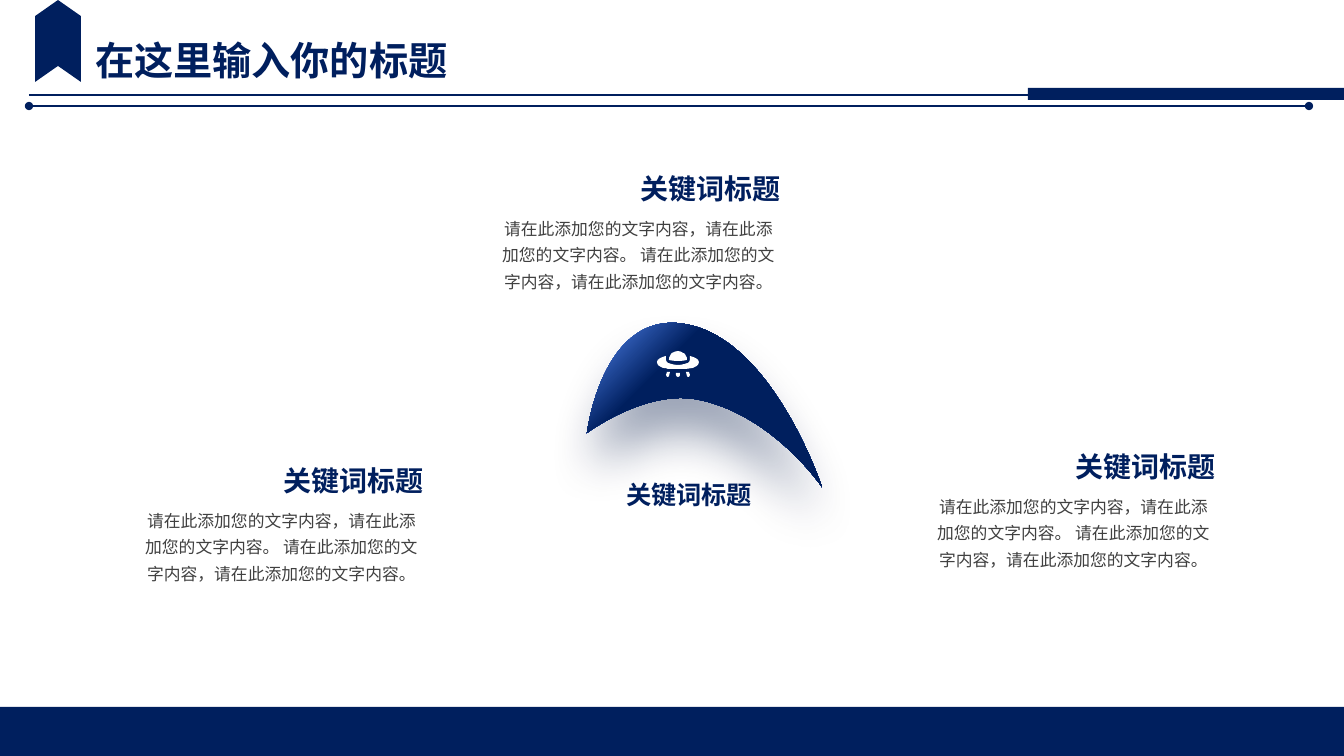
import pptx
import pptx.util
import pptx.dml.color
import pptx.enum.shapes
import pptx.enum.text
import pptx.oxml
import pptx.oxml.ns
from lxml import etree

PX = 12192000 / 1344
NAVY, GREY, WHITE = "001F5E", "404040", "FFFFFF"
SHAPE = pptx.enum.shapes.MSO_SHAPE
ALIGN = pptx.enum.text.PP_ALIGN
qn = pptx.oxml.ns.qn


def emu(px):
    return pptx.util.Emu(round(px * PX))


def rgb(color):
    return pptx.dml.color.RGBColor.from_string(color)


def element(xml):
    return pptx.oxml.parse_xml(xml.replace(">", f" {pptx.oxml.ns.nsdecls('a')}>", 1))


class Deck:
    font = "Noto Sans CJK SC"

    def __init__(self, prs):
        self.s = prs.slides.add_slide(prs.slide_layouts[5])

    def format(self, tf, text, size, color, bold, align, wrap, margin):
        tf.word_wrap = wrap
        tf.auto_size = pptx.enum.text.MSO_AUTO_SIZE.SHAPE_TO_FIT_TEXT
        tf.vertical_anchor = pptx.enum.text.MSO_ANCHOR.TOP
        if not margin:
            tf.margin_left = tf.margin_right = tf.margin_top = tf.margin_bottom = 0
        p = tf.paragraphs[0]
        p.text = text
        p.alignment = align
        f = p.font
        f.size, f.bold, f.name = pptx.util.Pt(size), bold, self.font
        f.color.rgb = rgb(color)
        # East Asian characters need their own typeface entry
        props = p._p.pPr.find(qn("a:defRPr"))
        etree.SubElement(props, qn("a:ea")).set("typeface", self.font)
        return p

    def title(self, text, x, y, w, h):
        sp = self.s.shapes.title
        sp.left, sp.top, sp.width, sp.height = map(emu, (x, y, w, h))
        self.format(sp.text_frame, text, 28, NAVY, True, ALIGN.LEFT, False, True)

    def text(self, text, x, y, w, h, size, color=NAVY, bold=True,
             align=ALIGN.RIGHT, wrap=True, spacing=None):
        sp = self.s.shapes.add_textbox(*map(emu, (x, y, w, h)))
        p = self.format(sp.text_frame, text, size, color, bold, align, wrap, False)
        if spacing:
            p.line_spacing = spacing

    def paint(self, sp, color):
        sp.shadow.inherit = False
        sp.fill.solid()
        sp.fill.fore_color.rgb = rgb(color)
        sp.line.fill.background()
        return sp

    def shape(self, kind, x, y, w, h, color=NAVY):
        return self.paint(self.s.shapes.add_shape(kind, *map(emu, (x, y, w, h))), color)

    def line(self, x1, x2, y, dots=False):
        c = self.s.shapes.add_connector(pptx.enum.shapes.MSO_CONNECTOR.STRAIGHT,
                                        *map(emu, (x1, y, x2, y)))
        c.line.color.rgb = rgb(NAVY)
        c.line.width = pptx.util.Pt(1.5)
        if dots:
            for end in ("a:headEnd", "a:tailEnd"):
                etree.SubElement(c.line._get_or_add_ln(), qn(end)).set("type", "oval")
        etree.SubElement(c._element.spPr, qn("a:effectLst"))

    def curve(self, start, segments, color=WHITE):
        fb = self.s.shapes.build_freeform(*map(emu, start), scale=1.0)
        fb.add_line_segments([tuple(map(emu, pt)) for seg in segments for pt in seg],
                             close=True)
        sp = fb.convert_to_shape()
        # Every three points make one Bezier segment
        lines = list(sp._element.spPr.iter(qn("a:lnTo")))
        for i in range(0, 3 * len(segments), 3):
            bez = element("<a:cubicBezTo></a:cubicBezTo>")
            lines[i].addprevious(bez)
            for ln in lines[i:i + 3]:
                bez.append(ln[0])
                ln.getparent().remove(ln)
        return self.paint(sp, color)

    def glow(self, sp, stops, angle, shadow, alpha, blur, dist):
        pr = sp._element.spPr
        gs = "".join(f'<a:gs pos="{pos * 1000}"><a:srgbClr val="{c}"/></a:gs>'
                     for pos, c in stops)
        pr.replace(pr.find(qn("a:solidFill")), element(
            f'<a:gradFill><a:gsLst>{gs}</a:gsLst>'
            f'<a:lin ang="{angle * 60000}" scaled="0"/></a:gradFill>'))
        pr.replace(pr.find(qn("a:effectLst")), element(
            f'<a:effectLst><a:outerShdw blurRad="{blur * 12700}" dist="{dist * 12700}"'
            f' dir="5400000" sx="95000" algn="t" rotWithShape="0">'
            f'<a:srgbClr val="{shadow}"><a:alpha val="{alpha * 1000}"/></a:srgbClr>'
            f'</a:outerShdw></a:effectLst>'))

    def card(self, x, y):
        self.text(BODY, x, y + 42, 285, 77, 12, GREY, False, ALIGN.CENTER, spacing=1.3)
        self.text(KEYWORD, x + 140, y, 145, 34, 20, wrap=False)


KEYWORD = "关键词标题"
BODY = "请在此添加您的文字内容，请在此添加您的文字内容。 请在此添加您的文字内容，请在此添加您的文字内容。"


def main():
    prs = pptx.Presentation()
    prs.slide_width, prs.slide_height = emu(1344), emu(756)
    d = Deck(prs)

    # Header and footer
    d.shape(SHAPE.RECTANGLE, 0, 707, 1344, 49)
    d.line(29, 1161, 95)
    d.shape(SHAPE.RECTANGLE, 1028, 88, 316, 12)
    d.title("在这里输入你的标题", 85, 31, 377, 57)
    ribbon = d.shape(SHAPE.CHEVRON, 17, 18, 82, 46)
    ribbon.rotation = 270
    ribbon.adjustments[0] = 0.35
    d.line(29, 1309, 106, dots=True)

    # Arched blade
    blade = d.curve((587, 433), [
        ((587, 433), (601, 318), (677, 323)),
        ((770, 330), (822, 487), (822, 487)),
        ((822, 487), (774, 416), (700, 400)),
        ((647, 388), (587, 433), (587, 433))])
    d.glow(blade, [(0, "598FFF"), (31, NAVY), (73, NAVY)], 45, "001746", 40, 35, 25)

    # Saucer icon: lights, hull, dome
    d.curve((678, 373), [
        ((677, 373), (676, 373), (676, 373)),
        ((676, 375), (676, 375), (676, 375)),
        ((676, 376), (677, 377), (678, 377)),
        ((679, 377), (680, 376), (680, 375)),
        ((680, 373), (680, 373), (680, 373)),
        ((680, 373), (679, 373), (678, 373))])
    side_light = [
        ((666, 375), (666, 375), (666, 375)),
        ((666, 376), (666, 376), (667, 377)),
        ((667, 377), (667, 377), (667, 377)),
        ((668, 377), (669, 377), (669, 376)),
        ((670, 372), (670, 372), (670, 372)),
        ((669, 372), (668, 372), (667, 372))]
    d.curve((667, 372), side_light)
    d.curve((689, 372), [[(1356 - x, y) for x, y in seg] for seg in side_light])
    d.curve((690, 356), [
        ((690, 357), (690, 358), (690, 360)),
        ((690, 361), (689, 362), (688, 363)),
        ((687, 363), (683, 365), (678, 365)),
        ((673, 365), (669, 363), (668, 363)),
        ((667, 362), (666, 361), (666, 360)),
        ((666, 358), (666, 357), (666, 356)),
        ((662, 357), (657, 359), (657, 362)),
        ((657, 365), (660, 367), (663, 368)),
        ((665, 368), (667, 368), (668, 369)),
        ((669, 369), (670, 369), (671, 369)),
        ((673, 369), (675, 369), (678, 369)),
        ((681, 369), (683, 369), (685, 369)),
        ((687, 369), (691, 368), (693, 368)),
        ((696, 367), (699, 365), (699, 362)),
        ((699, 359), (694, 357), (690, 356))])
    d.curve((686, 356), [
        ((685, 355), (685, 355), (685, 354)),
        ((685, 354), (684, 353), (683, 353)),
        ((682, 352), (680, 351), (678, 351)),
        ((676, 351), (674, 352), (672, 353)),
        ((671, 354), (671, 354), (671, 354)),
        ((671, 355), (670, 355), (670, 356)),
        ((669, 357), (669, 358), (669, 360)),
        ((669, 360), (673, 361), (678, 361)),
        ((683, 361), (687, 360), (687, 360)),
        ((687, 358), (687, 357), (686, 356))])

    # Centre label and the three text cards
    d.text(KEYWORD, 591, 479, 161, 30, 18)
    for x, y in [(496, 171), (139, 463), (931, 449)]:
        d.card(x, y)

    prs.save("out.pptx")


if __name__ == "__main__":
    main()
